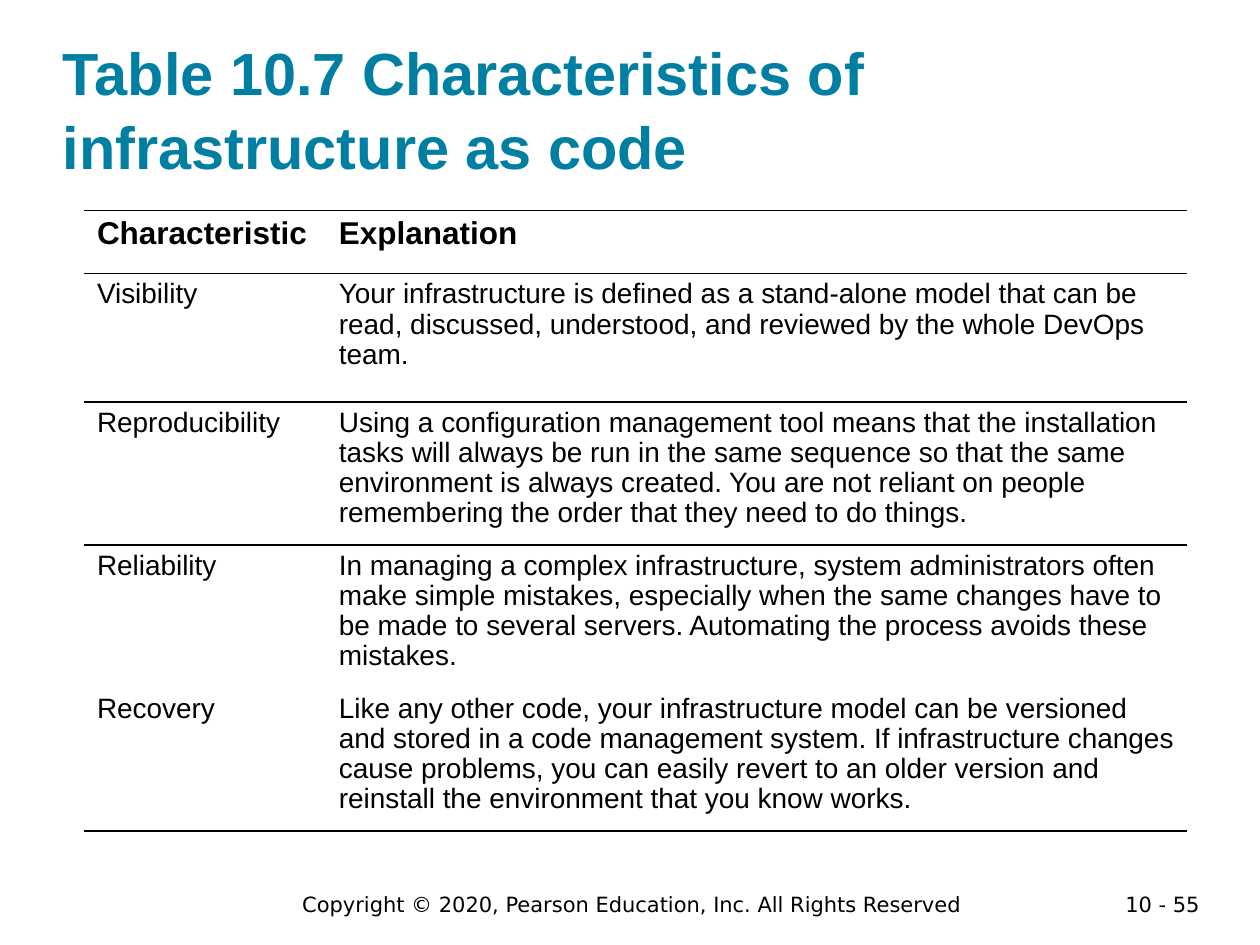
"""Build the slide listing the characteristics of infrastructure as code."""
from lxml.etree import SubElement
from pptx import Presentation
from pptx.dml.color import RGBColor
from pptx.enum.text import MSO_ANCHOR, PP_ALIGN
from pptx.oxml.ns import qn
from pptx.util import Inches, Pt

BLACK = RGBColor(0x00, 0x00, 0x00)
TEAL = RGBColor(0x00, 0x7F, 0xA3)
NO_GRID_STYLE = "{2D5ABB26-0587-4C30-8999-92F81FD0307C}"


def add_run(paragraph, text, size, font_name="Arial", color=BLACK, bold=False):
    run = paragraph.add_run()
    run.text = text
    run.font.size = Pt(size)
    run.font.name = font_name
    run.font.color.rgb = color
    run.font.bold = bold


def add_border(cell, side):
    line = SubElement(cell._tc.get_or_add_tcPr(), qn(f"a:{side}"), w=str(Pt(1)))
    fill = SubElement(line, qn("a:solidFill"))
    SubElement(fill, qn("a:srgbClr"), val=str(BLACK))


presentation = Presentation()
presentation.slide_width = Inches(10)
presentation.slide_height = Inches(7.5)
slide = presentation.slides.add_slide(presentation.slide_layouts[6])

footers = [
    ("10 - 55", 8.62, 1, 0.22, PP_ALIGN.RIGHT),
    ("Copyright © 2020, Pearson Education, Inc. All Rights Reserved",
     1.64, 6.75, 0.3, PP_ALIGN.CENTER),
]
for text, left, width, height, alignment in footers:
    footer = slide.shapes.add_textbox(
        Inches(left), Inches(7.03), Inches(width), Inches(height))
    footer.text_frame.word_wrap = True
    paragraph = footer.text_frame.paragraphs[0]
    paragraph.alignment = alignment
    add_run(paragraph, text, 12, "DejaVu Sans")

rows = [
    ("Characteristic", ["Explanation"]),
    ("Visibility", [
        "Your infrastructure is defined as a stand-alone model that can be read, "
        "discussed, understood, and reviewed by the whole DevOps",
        "team."]),
    ("Reproducibility", [
        "Using a configuration management tool means that the installation tasks "
        "will always be run in the same sequence so that the same environment is "
        "always created. You are not reliant on people remembering the order that "
        "they need to do things."]),
    ("Reliability", [
        "In managing a complex infrastructure, system administrators often make "
        "simple mistakes, especially when the same changes have to be made to "
        "several servers. Automating the process avoids these",
        "mistakes."]),
    ("Recovery", [
        "Like any other code, your infrastructure model can be versioned",
        "and stored in a code management system. If infrastructure changes cause "
        "problems, you can easily revert to an older version and reinstall the "
        "environment that you know works."]),
]
row_heights = [0.5] + [1.02] * 4
row_borders = [("lnT", "lnB"), ("lnT", "lnB"), ("lnT",), (), ("lnB",)]

table_frame = slide.shapes.add_table(
    len(rows), 2, Inches(0.67), Inches(1.67), Inches(8.75), Inches(sum(row_heights)))
table = table_frame.table
table.first_row = False
table.horz_banding = False
table._tbl.tblPr.find(qn("a:tableStyleId")).text = NO_GRID_STYLE
for column, width in zip(table.columns, (1.92, 6.83)):
    column.width = Inches(width)

for index, (characteristic, explanation) in enumerate(rows):
    table.rows[index].height = Inches(row_heights[index])
    is_header = index == 0
    for cell, texts in zip(table.rows[index].cells, ([characteristic], explanation)):
        for side in row_borders[index]:
            add_border(cell, side)
        cell.fill.background()
        for position, text in enumerate(texts):
            frame = cell.text_frame
            paragraph = frame.add_paragraph() if position else frame.paragraphs[0]
            paragraph.line_spacing = 0.97
            add_run(paragraph, text, 18 if is_header else 16, bold=is_header)

title = slide.shapes.add_textbox(Inches(0.5), Inches(0.24), Inches(9), Inches(1.2))
title_frame = title.text_frame
title_frame.word_wrap = True
title_frame.vertical_anchor = MSO_ANCHOR.BOTTOM
title_frame.margin_left = title_frame.margin_right = Inches(0)
title_frame.margin_top = title_frame.margin_bottom = Inches(0)
paragraph = title_frame.paragraphs[0]
paragraph.line_spacing = 1.04
add_run(paragraph, "Table 10.7 Characteristics of infrastructure as code", 34,
        color=TEAL, bold=True)

presentation.save("out.pptx")
